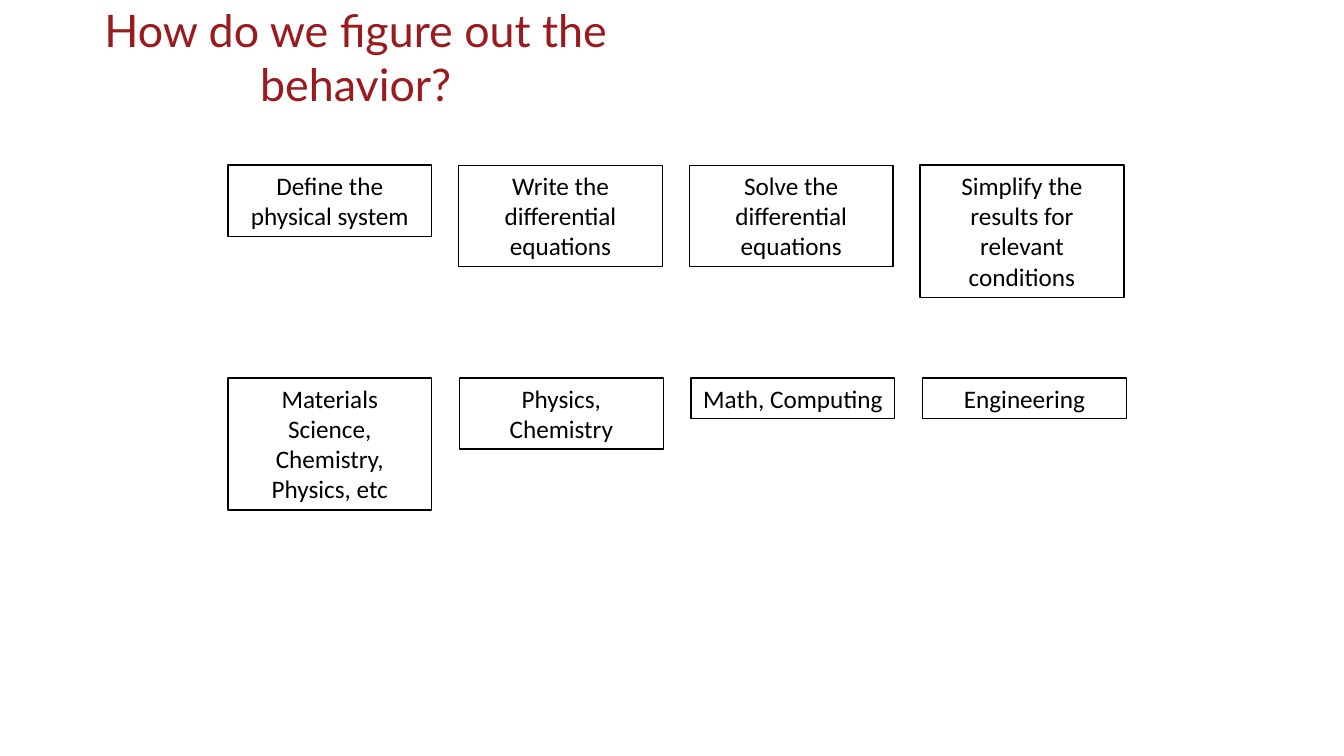
from dataclasses import dataclass

from pptx import Presentation
from pptx.dml.color import RGBColor
from pptx.enum.shapes import MSO_SHAPE
from pptx.enum.text import MSO_ANCHOR, MSO_AUTO_SIZE, PP_ALIGN
from pptx.util import Pt

RECTANGLE = MSO_SHAPE.RECTANGLE
TOP = MSO_ANCHOR.TOP
GROW = MSO_AUTO_SIZE.SHAPE_TO_FIT_TEXT
CENTER = PP_ALIGN.CENTER

# Content: each row has its top, column pitch and (text, line count) boxes
TITLE = "How do we figure out the behavior?"
ROWS = [
    (118, 164.8, [
        ("Define the physical system", 2),
        ("Write the differential equations", 3),
        ("Solve the differential equations", 3),
        ("Simplify the results for relevant conditions", 4),
    ]),
    (270, 165.4, [
        ("Materials Science, Chemistry, Physics, etc", 4),
        ("Physics, Chemistry", 2),
        ("Math, Computing", 1),
        ("Engineering", 1),
    ]),
]


@dataclass(frozen=True)
class Theme:
    title_font: str = "Lato"
    body_font: str = "Calibri"
    title_size: float = 32
    body_size: float = 18
    red: RGBColor = RGBColor(0x99, 0x1B, 0x1E)
    black: RGBColor = RGBColor(0, 0, 0)
    white: RGBColor = RGBColor(255, 255, 255)


THEME = Theme()

# Layout, in points
SLIDE_WIDTH, SLIDE_HEIGHT = 960, 540
TITLE_PLACE = (0, -1.4, 508.3, 46)
FIRST_LEFT = 162.8
BOX_WIDTH = 145.6
LINE_HEIGHT = 21.8
PADDING = 7.2


def write(box, text, font, size, color):
    frame = box.text_frame
    frame.word_wrap = True
    frame.auto_size = GROW
    frame.vertical_anchor = TOP
    para = frame.paragraphs[0]
    para.alignment = CENTER
    span = para.add_run()
    span.text = text
    span.font.name = font
    span.font.size = Pt(size)
    span.font.color.rgb = color


def add_box(page, left, top, text, lines):
    height = PADDING + lines * LINE_HEIGHT
    box = page.shapes.add_shape(
        RECTANGLE, Pt(left), Pt(top), Pt(BOX_WIDTH), Pt(height))
    box.shadow.inherit = False
    box.fill.solid()
    box.fill.fore_color.rgb = THEME.white
    box.line.color.rgb = THEME.black
    box.line.width = Pt(1)
    write(box, text, THEME.body_font, THEME.body_size, THEME.black)


def main():
    deck = Presentation()
    deck.slide_width, deck.slide_height = Pt(SLIDE_WIDTH), Pt(SLIDE_HEIGHT)
    page = deck.slides.add_slide(deck.slide_layouts[6])

    # Title
    title = page.shapes.add_textbox(*map(Pt, TITLE_PLACE))
    write(title, TITLE, THEME.title_font, THEME.title_size, THEME.red)

    # Steps above, matching fields below
    for top, pitch, boxes in ROWS:
        for column, (text, lines) in enumerate(boxes):
            add_box(page, FIRST_LEFT + column * pitch, top, text, lines)

    deck.save("out.pptx")


if __name__ == "__main__":
    main()
